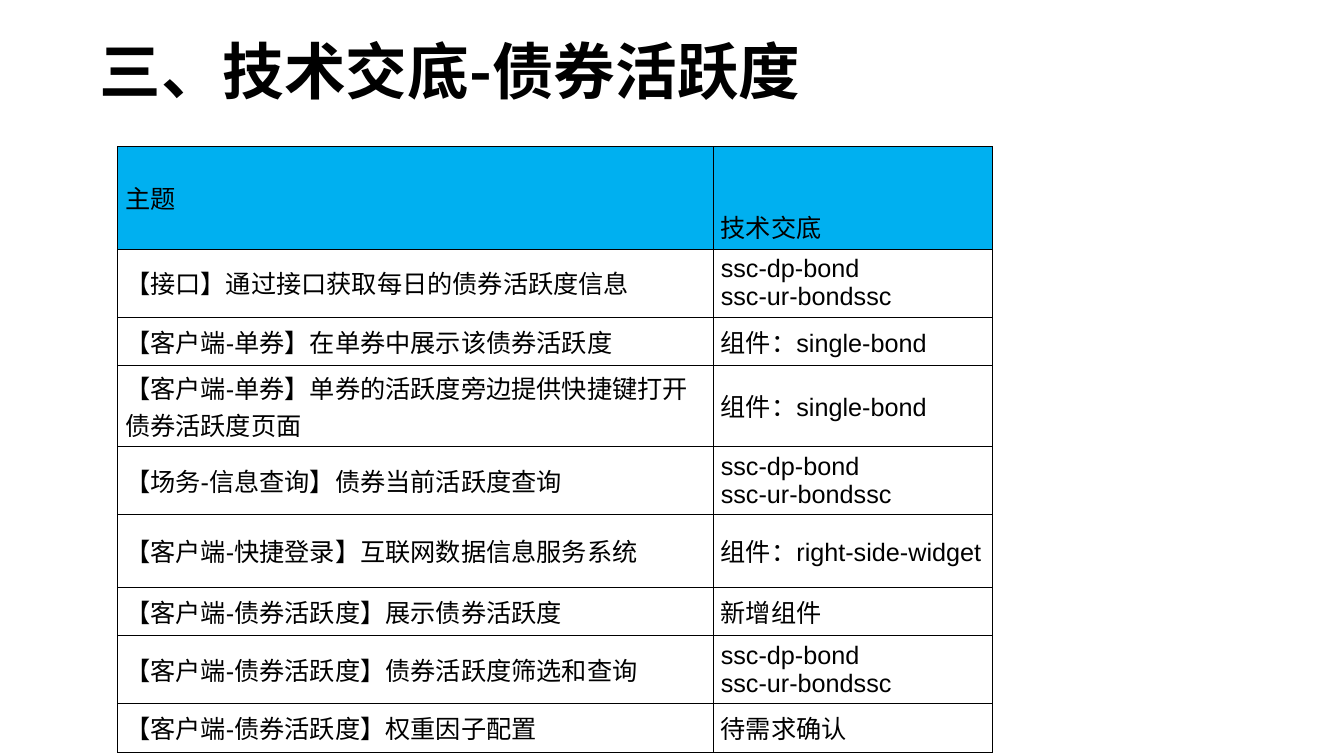
from copy import deepcopy

from lxml.etree import SubElement
from pptx import Presentation
from pptx.dml.color import RGBColor
from pptx.enum.text import MSO_ANCHOR
from pptx.oxml.ns import qn
from pptx.util import Pt

TITLE = "三、技术交底-债券活跃度"
SERVICES = "ssc-dp-bond\nssc-ur-bondssc"
HEADER_HEIGHT, ONE_LINE, TWO_LINES, MIXED_LINES, TWO_CHINESE_LINES = 73, 34.5, 46, 52, 58
ROWS = [
    ("主题", "技术交底", HEADER_HEIGHT),
    ("【接口】通过接口获取每日的债券活跃度信息", SERVICES, TWO_LINES),
    ("【客户端-单券】在单券中展示该债券活跃度", "组件：single-bond", ONE_LINE),
    ("【客户端-单券】单券的活跃度旁边提供快捷键打开债券活跃度页面", "组件：single-bond",
     TWO_CHINESE_LINES),
    ("【场务-信息查询】债券当前活跃度查询", SERVICES, TWO_LINES),
    ("【客户端-快捷登录】互联网数据信息服务系统", "组件：right-side-widget", MIXED_LINES),
    ("【客户端-债券活跃度】展示债券活跃度", "新增组件", ONE_LINE),
    ("【客户端-债券活跃度】债券活跃度筛选和查询", SERVICES, TWO_LINES),
    ("【客户端-债券活跃度】权重因子配置", "待需求确认", ONE_LINE),
]

CHINESE_FONT, LATIN_FONT = "Noto Sans CJK SC", "Arial"
BLACK, HEADER_BLUE = "000000", "00B0F0"
COLUMN_WIDTHS = (425.5, 199.5)
TABLE_LEFT, TABLE_TOP = 84, 104.8


def color(value):
    return RGBColor.from_string(value)


def write(paragraph, text, size, font_name, bold=False):
    """Format runs and line breaks alike, so that row heights are measured in the right font."""
    paragraph.text = text
    for run in paragraph.runs:
        font = run.font
        font.size, font.bold, font.name = Pt(size), bold, font_name
        font.color.rgb = color(BLACK)
        SubElement(run._r.rPr, qn("a:ea")).set("typeface", CHINESE_FONT)
    for line_break in paragraph._p.findall(qn("a:br")):
        line_break.append(deepcopy(paragraph.runs[0]._r.rPr))


def add_borders(cell):
    properties = cell._tc.get_or_add_tcPr()
    for side in ("lnL", "lnR", "lnT", "lnB"):
        line = SubElement(properties, qn(f"a:{side}"), w=str(Pt(0.5)))
        fill = SubElement(line, qn("a:solidFill"))
        SubElement(fill, qn("a:srgbClr"), val=BLACK)


def add_title(slide):
    box = slide.shapes.add_textbox(Pt(64), Pt(1), Pt(828), Pt(104))
    frame = box.text_frame
    frame.word_wrap = True
    frame.vertical_anchor = MSO_ANCHOR.MIDDLE
    paragraph = frame.paragraphs[0]
    paragraph.line_spacing = 0.9
    write(paragraph, TITLE, 44, CHINESE_FONT, bold=True)


def add_topic_table(slide):
    total_height = sum(height for *_, height in ROWS)
    table = slide.shapes.add_table(
        len(ROWS), len(COLUMN_WIDTHS), Pt(TABLE_LEFT), Pt(TABLE_TOP),
        Pt(sum(COLUMN_WIDTHS)), Pt(total_height)).table
    table.first_row = table.horz_banding = False
    for column, width in zip(table.columns, COLUMN_WIDTHS):
        column.width = Pt(width)
    for row_index, (*texts, height) in enumerate(ROWS):
        is_header = row_index == 0
        table.rows[row_index].height = Pt(height)
        for column_index, text in enumerate(texts):
            cell = table.cell(row_index, column_index)
            cell.margin_left = cell.margin_right = Pt(5.4)
            cell.margin_top = cell.margin_bottom = Pt(2.7)
            cell.vertical_anchor = MSO_ANCHOR.MIDDLE
            add_borders(cell)
            if is_header:
                cell.fill.solid()
                cell.fill.fore_color.rgb = color(HEADER_BLUE)
            else:
                cell.fill.background()
            write(cell.text_frame.paragraphs[0], text, 18,
                  CHINESE_FONT if is_header else LATIN_FONT)
    table.cell(0, 1).vertical_anchor = MSO_ANCHOR.BOTTOM


def main():
    presentation = Presentation()
    presentation.slide_width, presentation.slide_height = Pt(960), Pt(540)
    slide = presentation.slides.add_slide(presentation.slide_layouts[6])
    add_title(slide)
    add_topic_table(slide)
    presentation.save("out.pptx")


if __name__ == "__main__":
    main()
